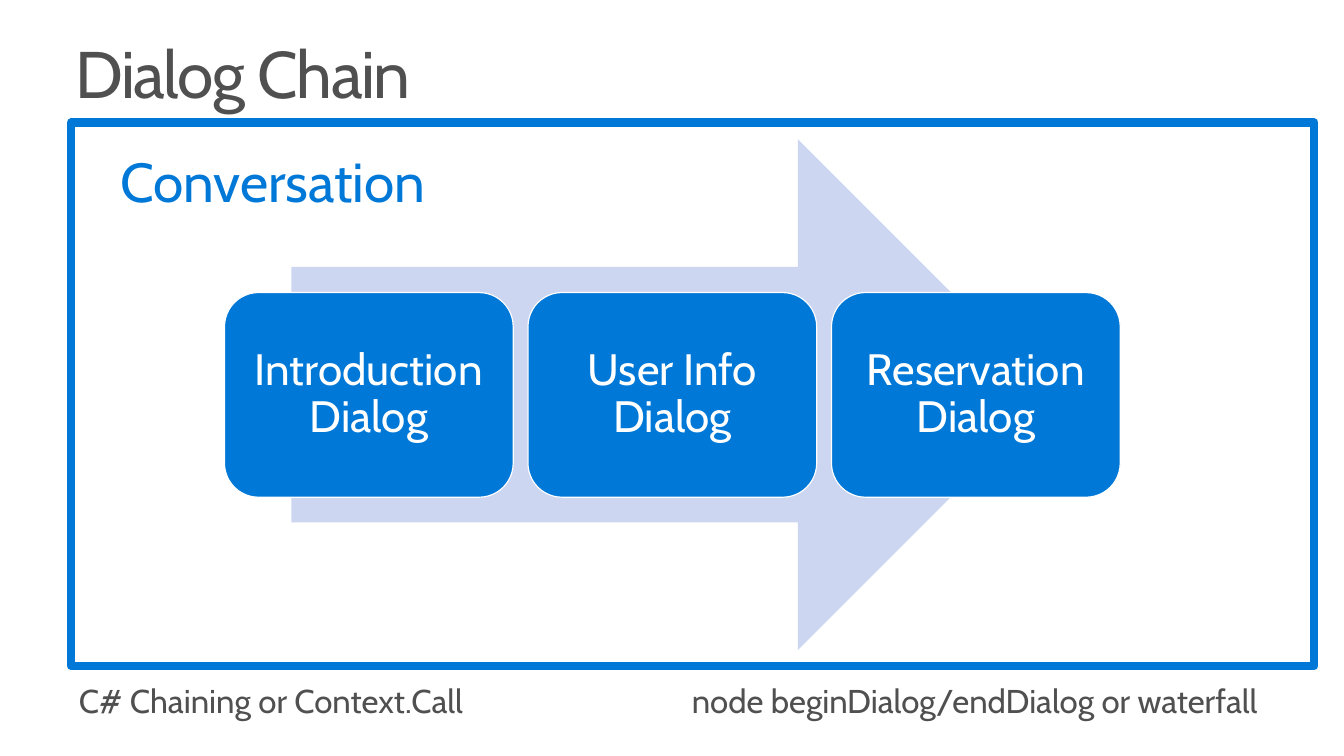
from pptx import Presentation
from pptx import util as u
from pptx.dml.color import RGBColor
from pptx.enum import shapes, text
from pptx.oxml.ns import qn
from lxml import etree

BLUE, PALE, GRAY, WHITE = "0078D7", "CCD6F0", "505050", "FFFFFF"


def color(value):
    return RGBColor.from_string(value)


def set_all(target, values):
    for name, value in values.items():
        setattr(target, name, value)


class DialogSlide:
    font = "Cabin"
    line_spacing = 0.9

    def __init__(self, deck):
        self.page = deck.slides.add_slide(deck.slide_layouts[6])

    def shape(self, kind, place, fill=None, line=None, width=0):
        shape = self.page.shapes.add_shape(kind, *map(u.Cm, place))
        shape.shadow.inherit = False
        if fill:
            shape.fill.solid()
            shape.fill.fore_color.rgb = color(fill)
        else:
            shape.fill.background()
        if line:
            shape.line.color.rgb = color(line)
            shape.line.width = u.Pt(width)
            etree.SubElement(shape.line._ln, qn("a:round"))
        else:
            shape.line.fill.background()
        return shape

    def put_text(self, box, words, size, tint, insets, wrap=True, after=0,
                 align=text.PP_ALIGN.LEFT, anchor=text.MSO_ANCHOR.TOP):
        frame = box.text_frame
        side, edge = map(u.Cm, insets)
        set_all(frame, {
            "margin_left": side, "margin_right": side,
            "margin_top": edge, "margin_bottom": edge,
            "word_wrap": wrap, "vertical_anchor": anchor,
        })
        para = frame.paragraphs[0]
        set_all(para, {"alignment": align, "line_spacing": self.line_spacing,
                       "space_after": u.Pt(after)})
        span = para.add_run()
        span.text = words
        set_all(span.font, {"name": self.font, "size": u.Pt(size)})
        span.font.color.rgb = color(tint)
        return span

    def title(self, words, place):
        box = self.page.shapes.add_textbox(*map(u.Cm, place))
        span = self.put_text(box, words, 48, GRAY, (0.41, 0.25))
        span.font._element.set("spc", "-100")

    def label(self, words, place, size, tint):
        box = self.page.shapes.add_textbox(*map(u.Cm, place))
        self.put_text(box, words, size, tint, (0.51, 0.41), wrap=False, after=6)
        box.text_frame.auto_size = text.MSO_AUTO_SIZE.SHAPE_TO_FIT_TEXT

    def step(self, words, place):
        box = self.shape(shapes.MSO_SHAPE.ROUNDED_RECTANGLE, place, BLUE, WHITE, 0.85)
        self.put_text(box, words, 32, WHITE, (0.33, 0.33),
                      align=text.PP_ALIGN.CENTER, anchor=text.MSO_ANCHOR.MIDDLE)


def main():
    deck = Presentation()
    set_all(deck, {"slide_width": u.Cm(34.54), "slide_height": u.Cm(19.43)})
    slide = DialogSlide(deck)

    slide.shape(shapes.MSO_SHAPE.RECTANGLE, (1.83, 3.15, 31.95, 13.97), line=BLUE, width=6)
    slide.shape(shapes.MSO_SHAPE.RIGHT_ARROW, (7.49, 3.58, 19.58, 13.13), fill=PALE)

    step_left, step_pitch = 5.77, 7.8
    for index, name in enumerate(("Introduction", "User Info", "Reservation")):
        slide.step(f"{name} Dialog", (step_left + index * step_pitch, 7.52, 7.42, 5.26))

    slide.title("Dialog Chain", (1.52, 0.81, 33.02, 2.54))
    slide.label("C# Chaining or Context.Call", (1.52, 17.2, 11.4, 1.75), 24, GRAY)
    slide.label("node beginDialog/endDialog or waterfall", (17.27, 17.2, 16.54, 1.75), 24, GRAY)
    slide.label("Conversation", (2.59, 3.58, 9.27, 2.36), 40, BLUE)

    deck.save("out.pptx")


if __name__ == "__main__":
    main()
